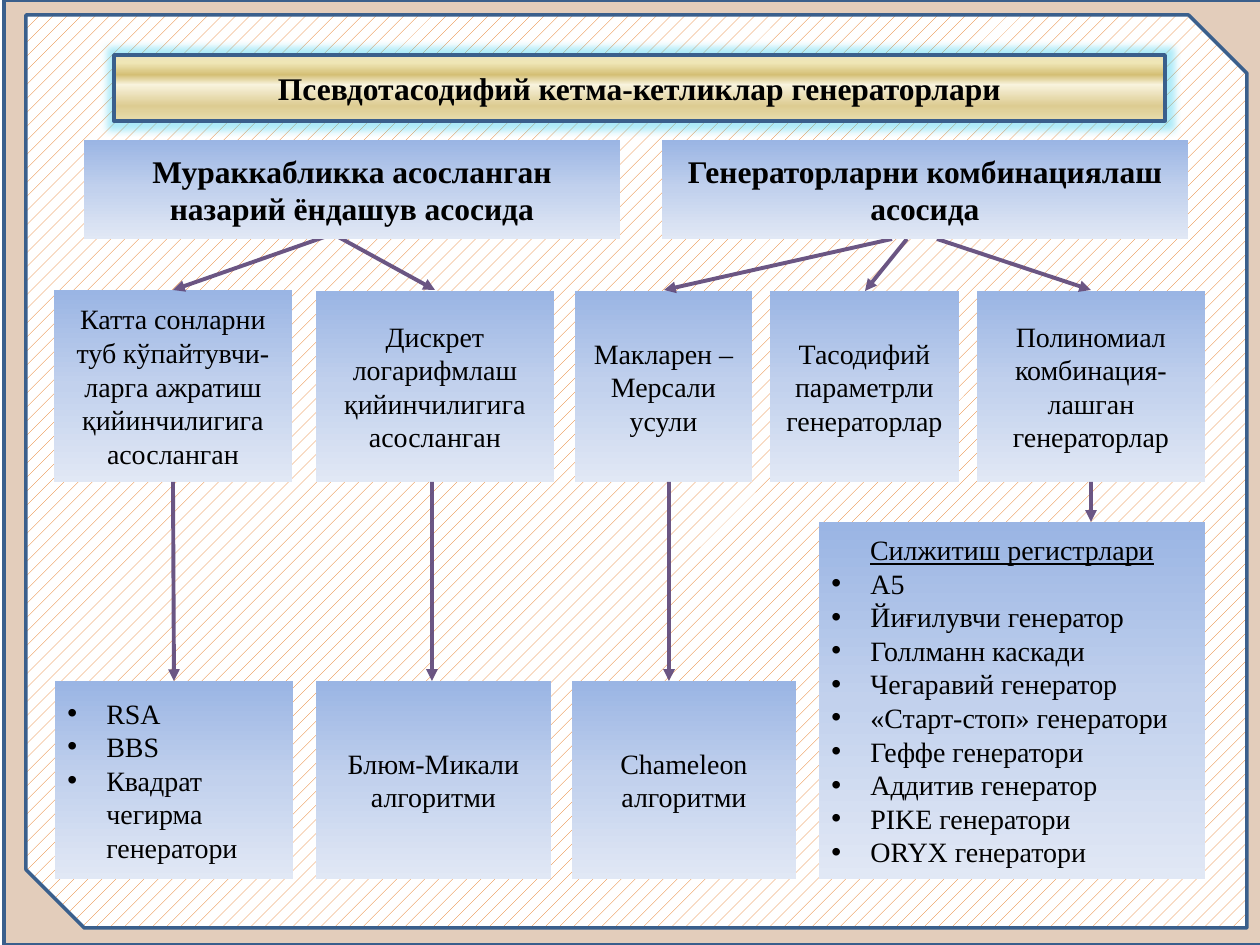
from dataclasses import dataclass

from pptx import Presentation
from pptx.dml.color import RGBColor
from pptx.enum.dml import MSO_PATTERN
from pptx.enum.shapes import MSO_CONNECTOR, MSO_SHAPE
from pptx.enum.text import MSO_ANCHOR, PP_ALIGN
from pptx.oxml.ns import qn
from pptx.util import Emu, Pt
from lxml import etree

RECTANGLE = MSO_SHAPE.RECTANGLE
ROUNDED = MSO_SHAPE.ROUNDED_RECTANGLE
SNIPPED = MSO_SHAPE.SNIP_2_DIAG_RECTANGLE
STRAIGHT = MSO_CONNECTOR.STRAIGHT
CENTER, LEFT = PP_ALIGN.CENTER, PP_ALIGN.LEFT
EMU_PER_PX = 914400 / 126


@dataclass(frozen=True)
class Theme:
    font: str = "Times New Roman"
    heading_size: int = 18
    body_size: int = 16
    text: str = "000000"
    border: str = "3A5F8C"
    border_width: float = 2
    arrow: str = "604A7B"
    arrow_width: float = 2.25
    arrow_alpha: int = 92
    frame: str = "984807"
    frame_alpha: int = 27
    hatch: str = "E46C0A"
    paper: str = "FFFFFF"
    glow: str = "33CCEE"
    glow_radius: int = 14
    glow_alpha: int = 40
    gold: tuple = ((0, "EBE3BD"), (12, "EFE6B6"), (30, "D4BF75"),
                   (45, "F8F3DD"), (77, "DDCC92"), (100, "E6DCAC"))
    blue: tuple = ((0, "9AB5E4"), (50, "C2D1ED"), (100, "E1E8F5"))


@dataclass(frozen=True)
class Node:
    left: int
    top: int
    width: int
    height: int
    title: str = ""
    items: tuple = ()
    heading: bool = False


@dataclass(frozen=True)
class Arrow:
    start: tuple
    end: tuple


THEME = Theme()
BULLET_INDENT = 39
METHOD_TOP, METHOD_HEIGHT = 291, 191
EXAMPLE_TOP, EXAMPLE_HEIGHT = 681, 198

METHODS = (
    Node(54, 290, 238, 192, "Катта сонларни туб кўпайтувчи-ларга ажратиш қийинчилигига асосланган"),
    Node(316, METHOD_TOP, 238, METHOD_HEIGHT, "Дискрет логарифмлаш қийинчилигига асосланган"),
    Node(575, METHOD_TOP, 177, METHOD_HEIGHT, "Макларен – Мерсали усули"),
    Node(770, METHOD_TOP, 189, METHOD_HEIGHT, "Тасодифий параметрли генераторлар"),
    Node(977, METHOD_TOP, 228, METHOD_HEIGHT, "Полиномиал комбинация-лашган генераторлар"),
)
EXAMPLES = (
    Node(55, EXAMPLE_TOP, 238, EXAMPLE_HEIGHT, items=("RSA", "BBS", "Квадрат чегирма генератори")),
    Node(316, EXAMPLE_TOP, 235, EXAMPLE_HEIGHT, "Блюм-Микали алгоритми"),
    Node(572, EXAMPLE_TOP, 224, EXAMPLE_HEIGHT, "Chameleon алгоритми"),
    Node(819, 522, 386, 357, "Силжитиш регистрлари", (
        "А5", "Йиғилувчи генератор", "Голлманн каскади", "Чегаравий генератор",
        "«Старт-стоп» генератори", "Геффе генератори", "Аддитив генератор",
        "PIKE генератори", "ORYX генератори")),
)
APPROACHES = (
    Node(84, 140, 536, 99, "Мураккабликка асосланган назарий ёндашув асосида", heading=True),
    Node(662, 140, 526, 99, "Генераторларни комбинациялаш асосида", heading=True),
)
ARROWS = (
    Arrow((173, 482), (174, 681)), Arrow((432, 482), (432, 681)),
    Arrow((669, 482), (669, 681)), Arrow((1091, 482), (1091, 522)),
    Arrow((333, 234), (435, 290)), Arrow((333, 234), (173, 290)),
    Arrow((937, 239), (1091, 290)), Arrow((907, 239), (865, 291)),
    Arrow((892, 239), (664, 290)),
)


def px(length: int) -> Emu:
    return Emu(round(length * EMU_PER_PX))


def rgb(color: str) -> RGBColor:
    return RGBColor.from_string(color)


def add_alpha(color_element, percent: int) -> None:
    etree.SubElement(color_element, qn("a:alpha"), val=str(percent * 1000))


def add_box(slide, kind, left: int, top: int, width: int, height: int):
    box = slide.shapes.add_shape(kind, px(left), px(top), px(width), px(height))
    box.shadow.inherit = False
    return box


def set_border(box) -> None:
    box.line.color.rgb = rgb(THEME.border)
    box.line.width = Pt(THEME.border_width)


def set_gradient(box, stops: tuple) -> None:
    box.fill.gradient()
    box.fill.gradient_angle = 270
    stop_list = box.element.spPr.find(".//" + qn("a:gsLst"))
    for stop in list(stop_list):
        stop_list.remove(stop)
    for position, color in stops:
        stop = etree.SubElement(stop_list, qn("a:gs"), pos=str(position * 1000))
        etree.SubElement(stop, qn("a:srgbClr"), val=color)


def write_text(para, text: str, *, size: int = THEME.body_size, bold: bool = False,
               underline: bool = False, bullet: bool = False) -> None:
    para.alignment = LEFT if bullet else CENTER
    if bullet:
        properties = para._p.get_or_add_pPr()
        properties.set("marL", str(px(BULLET_INDENT)))
        properties.set("indent", str(-px(BULLET_INDENT)))
        etree.SubElement(properties, qn("a:buFont"), typeface="Arial")
        etree.SubElement(properties, qn("a:buChar"), char="•")
    span = para.add_run()
    span.text = text
    font = span.font
    font.name, font.size, font.bold, font.underline = THEME.font, Pt(size), bold, underline
    font.color.rgb = rgb(THEME.text)


def draw_background(slide) -> None:
    frame = add_box(slide, RECTANGLE, 4, 0, 1260, 945)
    frame.fill.solid()
    frame.fill.fore_color.rgb = rgb(THEME.frame)
    add_alpha(frame.element.spPr.find(".//" + qn("a:srgbClr")), THEME.frame_alpha)
    set_border(frame)

    sheet = add_box(slide, SNIPPED, 26, 15, 1221, 913)
    sheet.adjustments[0], sheet.adjustments[1] = 0, 0.064
    sheet.fill.patterned()
    sheet.fill.pattern = MSO_PATTERN.PERCENT_10
    sheet.fill.fore_color.rgb = rgb(THEME.hatch)
    sheet.fill.back_color.rgb = rgb(THEME.paper)
    set_border(sheet)


def draw_title(slide) -> None:
    box = add_box(slide, ROUNDED, 114, 55, 1051, 66)
    box.adjustments[0] = 0
    set_gradient(box, THEME.gold)
    set_border(box)
    effects = box.element.spPr.find(qn("a:effectLst"))
    glow = etree.SubElement(effects, qn("a:glow"), rad=str(px(THEME.glow_radius)))
    add_alpha(etree.SubElement(glow, qn("a:srgbClr"), val=THEME.glow), THEME.glow_alpha)
    box.text_frame.vertical_anchor = MSO_ANCHOR.MIDDLE
    write_text(box.text_frame.paragraphs[0], "Псевдотасодифий кетма-кетликлар генераторлари",
               size=THEME.heading_size, bold=True)


def draw_node(slide, node: Node) -> None:
    box = add_box(slide, RECTANGLE, node.left, node.top, node.width, node.height)
    set_gradient(box, THEME.blue)
    box.line.fill.background()
    frame = box.text_frame
    frame.word_wrap = True
    frame.vertical_anchor = MSO_ANCHOR.MIDDLE
    para = frame.paragraphs[0]
    if node.title:
        size = THEME.heading_size if node.heading else THEME.body_size
        write_text(para, node.title, size=size, bold=node.heading, underline=bool(node.items))
    for index, item in enumerate(node.items):
        if node.title or index:
            para = frame.add_paragraph()
        write_text(para, item, bullet=True)


def draw_arrow(slide, arrow: Arrow) -> None:
    line = slide.shapes.add_connector(STRAIGHT, *map(px, arrow.start + arrow.end))
    line.line.color.rgb = rgb(THEME.arrow)
    line.line.width = Pt(THEME.arrow_width)
    properties = line.element.spPr
    add_alpha(properties.find(".//" + qn("a:srgbClr")), THEME.arrow_alpha)
    etree.SubElement(properties.find(qn("a:ln")), qn("a:tailEnd"), type="triangle")
    etree.SubElement(properties, qn("a:effectLst"))


def main() -> None:
    deck = Presentation()
    deck.slide_width, deck.slide_height = px(1260), px(945)
    slide = deck.slides.add_slide(deck.slide_layouts[6])
    draw_background(slide)
    draw_title(slide)
    for node in METHODS + EXAMPLES:
        draw_node(slide, node)
    # Headings cover the arrow starts
    for arrow in ARROWS:
        draw_arrow(slide, arrow)
    for node in APPROACHES:
        draw_node(slide, node)
    deck.save("out.pptx")


if __name__ == "__main__":
    main()
